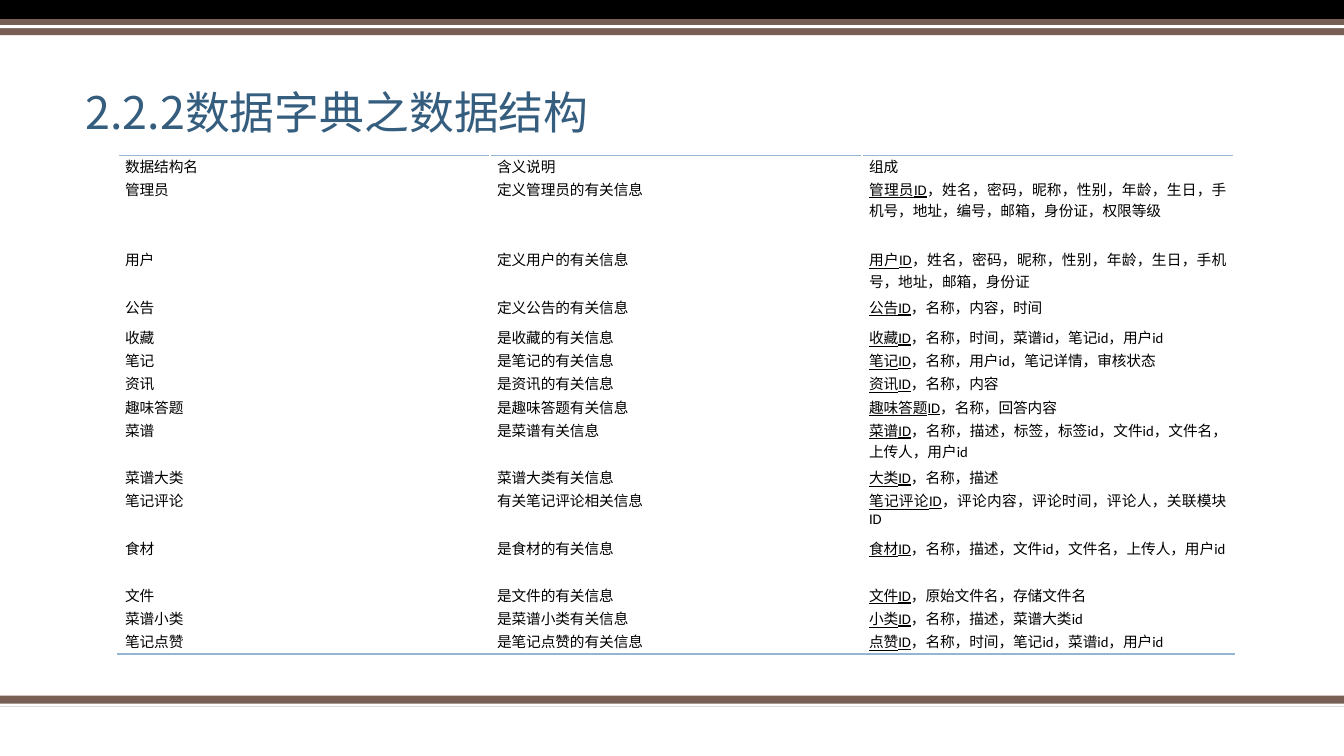
from lxml.etree import SubElement
from pptx import Presentation
from pptx.dml.color import RGBColor
from pptx.enum.shapes import MSO_SHAPE
from pptx.enum.text import MSO_ANCHOR, PP_ALIGN
from pptx.oxml.ns import qn
from pptx.util import Inches, Pt

BANDS = [
    (6.9, 0.11, "775F55"),
    (6.98, 0.03, "FFFFFF"),
    (0, 0.19, "000000"),
    (0.19, 0.16, "775F55"),
    (0.25, 0.03, "FFFFFF"),
]
ROW_HEIGHTS = [0.23, 0.7, 0.47, 0.3, 0.23, 0.23, 0.23, 0.23, 0.47, 0.23, 0.47, 0.47, 0.23, 0.23, 0.23]
STRUCTURES = [
    ("数据结构名", "含义说明", "", "组成"),
    ("管理员", "定义管理员的有关信息", "管理员ID", "，姓名，密码，昵称，性别，年龄，生日，手机号，地址，编号，邮箱，身份证，权限等级"),
    ("用户", "定义用户的有关信息", "用户ID", "，姓名，密码，昵称，性别，年龄，生日，手机号，地址，邮箱，身份证"),
    ("公告", "定义公告的有关信息", "公告ID", "，名称，内容，时间"),
    ("收藏", "是收藏的有关信息", "收藏ID", "，名称，时间，菜谱id，笔记id，用户id"),
    ("笔记", "是笔记的有关信息", "笔记ID", "，名称，用户id，笔记详情，审核状态"),
    ("资讯", "是资讯的有关信息", "资讯ID", "，名称，内容"),
    ("趣味答题", "是趣味答题有关信息", "趣味答题ID", "，名称，回答内容"),
    ("菜谱", "是菜谱有关信息", "菜谱ID", "，名称，描述，标签，标签id，文件id，文件名，上传人，用户id"),
    ("菜谱大类", "菜谱大类有关信息", "大类ID", "，名称，描述"),
    ("笔记评论", "有关笔记评论相关信息", "笔记评论ID", "，评论内容，评论时间，评论人，关联模块ID"),
    ("食材", "是食材的有关信息", "食材ID", "，名称，描述，文件id，文件名，上传人，用户id"),
    ("文件", "是文件的有关信息", "文件ID", "，原始文件名，存储文件名"),
    ("菜谱小类", "是菜谱小类有关信息", "小类ID", "，名称，描述，菜谱大类id"),
    ("笔记点赞", "是笔记点赞的有关信息", "点赞ID", "，名称，时间，笔记id，菜谱id，用户id"),
]


def color(value):
    return RGBColor.from_string(value)


class DictionarySlide:
    """Holds the style and the current slide, and draws its elements."""

    title_font, title_color = "Noto Sans CJK SC", "355D7E"
    body_font, body_color = "Calibri", "000000"
    rule_color = "94B6D2"

    def __init__(self, presentation):
        self.width = presentation.slide_width
        self.slide = presentation.slides.add_slide(presentation.slide_layouts[6])

    def band(self, top, height, fill):
        shape = self.slide.shapes.add_shape(
            MSO_SHAPE.RECTANGLE, 0, Inches(top), self.width, Inches(height))
        shape.shadow.inherit = False
        shape.fill.solid()
        shape.fill.fore_color.rgb = color(fill)
        shape.line.fill.background()

    def title(self, text):
        shape = self.slide.shapes.add_textbox(
            Inches(0.75), Inches(0.26), Inches(10.09), Inches(1.17))
        frame = shape.text_frame
        frame.word_wrap = True
        frame.vertical_anchor = MSO_ANCHOR.BOTTOM
        paragraph = frame.paragraphs[0]
        paragraph.text = text
        paragraph.line_spacing = 0.9
        self.style(paragraph, self.title_font, 32, self.title_color)

    def style(self, paragraph, name, size, text_color):
        font = paragraph.font
        font.name = name
        font.size = Pt(size)
        font.color.rgb = color(text_color)

    def table(self, rows, heights):
        frame = self.slide.shapes.add_table(
            len(rows), 3, Inches(1.17), Inches(1.54), Inches(11.08), Inches(sum(heights)))
        table = frame.table
        table.first_row = table.horz_banding = False
        for column in table.columns:
            column.width = Inches(3.69)
        for index, (name, meaning, key, fields) in enumerate(rows):
            table.rows[index].height = Inches(heights[index])
            for cell, key_text, text in zip(
                    table.rows[index].cells, ("", "", key), (name, meaning, fields)):
                self.cell(cell, key_text, text)
                if index == 0:
                    self.rule(cell, "a:lnT")
                if index == len(rows) - 1:
                    self.rule(cell, "a:lnB")

    def cell(self, cell, key, text):
        cell.margin_left = cell.margin_right = Inches(0.07)
        cell.margin_top = cell.margin_bottom = 0
        cell.fill.background()
        paragraph = cell.text_frame.paragraphs[0]
        paragraph.alignment = PP_ALIGN.JUSTIFY
        self.style(paragraph, self.body_font, 10.5, self.body_color)
        if key:
            run = paragraph.add_run()
            run.text = key
            run.font.underline = True
        paragraph.add_run().text = text

    def rule(self, cell, side):
        properties = cell._tc.get_or_add_tcPr()
        line = SubElement(properties, qn(side), w=str(Pt(1)))
        fill = SubElement(line, qn("a:solidFill"))
        SubElement(fill, qn("a:srgbClr"), val=self.rule_color)
        properties.insert(0, line)


def main():
    presentation = Presentation()
    presentation.slide_width = Inches(13.33)
    presentation.slide_height = Inches(7.5)
    slide = DictionarySlide(presentation)
    for band in BANDS:
        slide.band(*band)
    slide.title("2.2.2数据字典之数据结构")
    slide.table(STRUCTURES, ROW_HEIGHTS)
    presentation.save("out.pptx")


if __name__ == "__main__":
    main()
